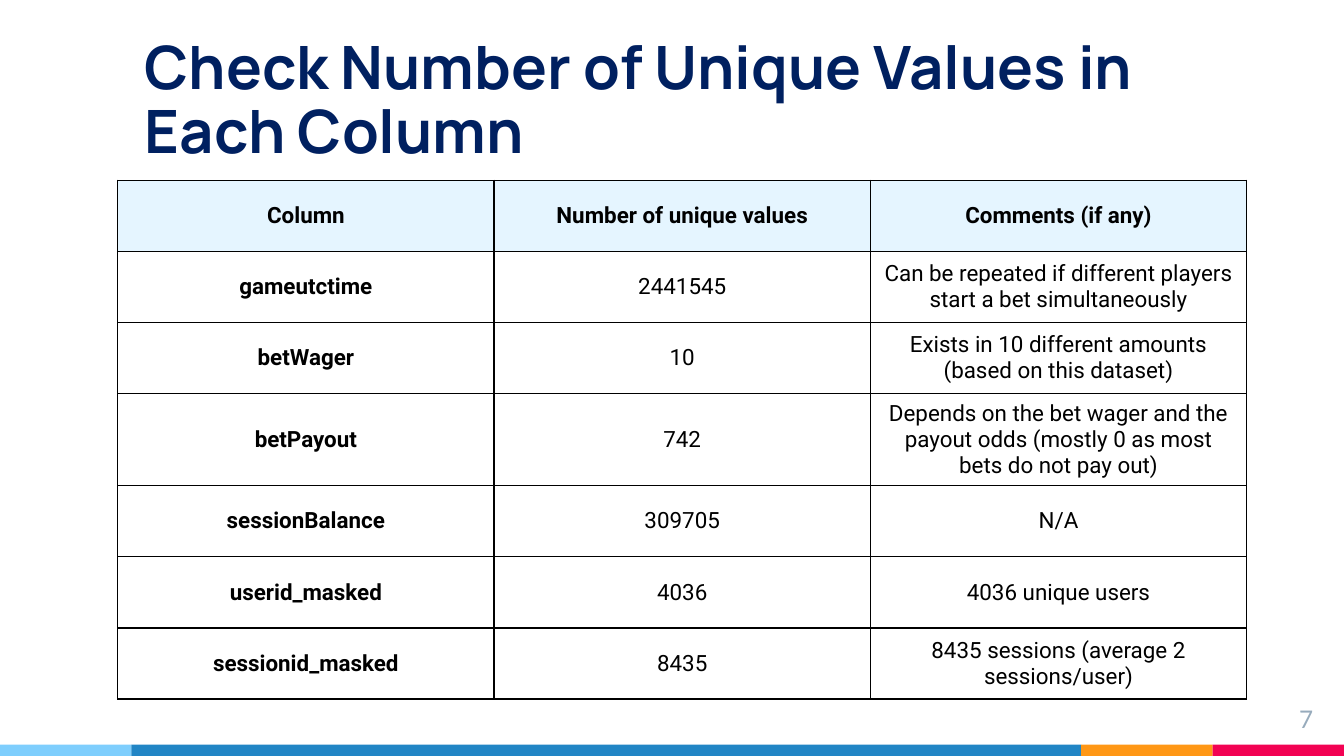
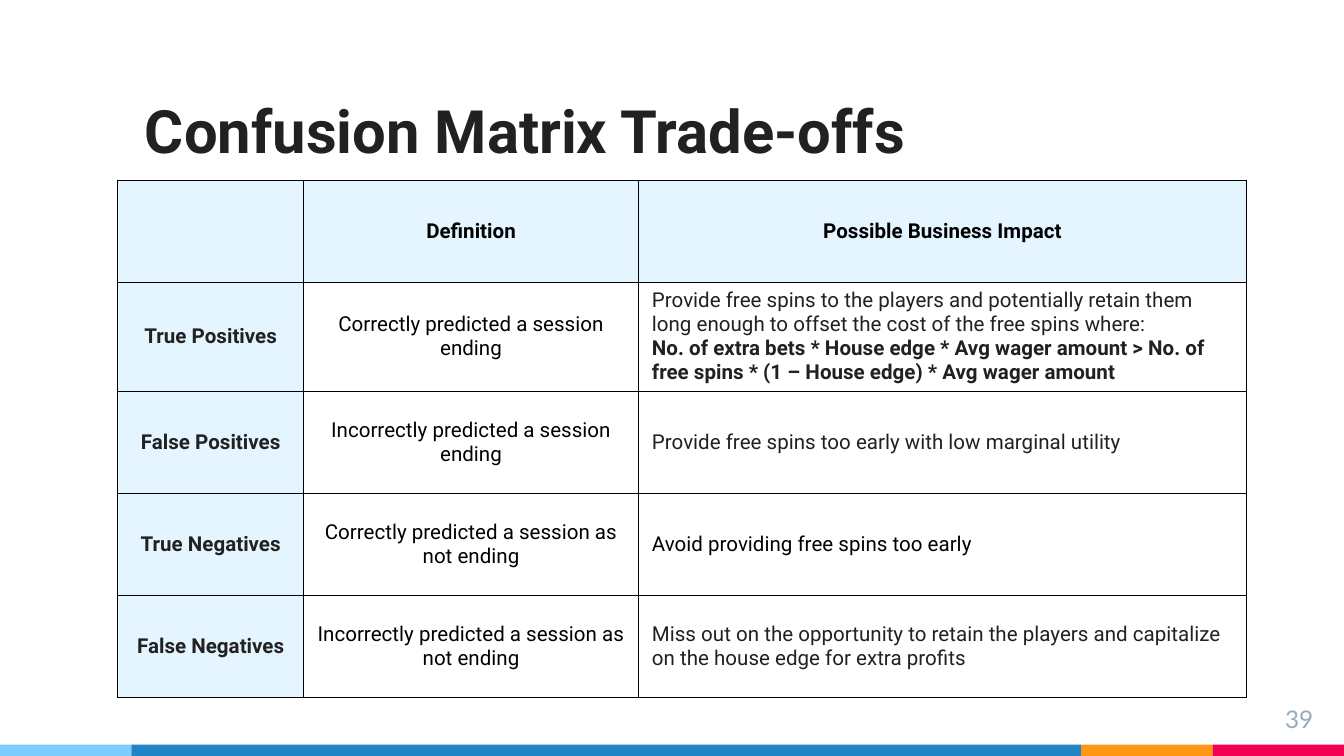
from dataclasses import dataclass
from typing import Optional

import lxml.etree
import pptx
import pptx.dml.color
import pptx.enum.shapes
import pptx.enum.text
import pptx.oxml.ns
import pptx.util

Pt = pptx.util.Pt
RGBColor = pptx.dml.color.RGBColor
Align = pptx.enum.text.PP_ALIGN
Anchor = pptx.enum.text.MSO_ANCHOR

BLACK = RGBColor(0x00, 0x00, 0x00)
CHARCOAL = RGBColor(0x21, 0x21, 0x21)
NAVY = RGBColor(0x00, 0x20, 0x60)
GREY = RGBColor(0x97, 0xAB, 0xBC)
PALE_BLUE = RGBColor(0xE5, 0xF5, 0xFF)
SKY = RGBColor(0x7E, 0xCE, 0xFD)
BLUE = RGBColor(0x21, 0x85, 0xC5)
ORANGE = RGBColor(0xFF, 0x97, 0x15)
RED = RGBColor(0xF2, 0x02, 0x53)

BODY_FONT = "Roboto"
TITLE_FONT = "Manrope"
NUMBER_FONT = "Lato"
INSET = Pt(7.2)
TABLE_LEFT = Pt(63.1)
TABLE_TOP = Pt(96.5)


@dataclass(frozen=True)
class Band:
    width: float
    color: RGBColor


@dataclass(frozen=True)
class Line:
    text: str
    bold: bool = False
    color: RGBColor = BLACK
    align: Align = Align.CENTER


@dataclass(frozen=True)
class Cell:
    lines: tuple[Line, ...] = ()
    fill: Optional[RGBColor] = None


@dataclass(frozen=True)
class TablePage:
    title: str
    title_font: str
    title_color: RGBColor
    number: int
    column_widths: tuple[float, ...]
    row_height: float
    text_size: float
    rows: list[list[Cell]]


BANDS = (Band(70.4, SKY), Band(508.8, BLUE), Band(70.4, ORANGE), Band(70.4, RED))


def header(text: str) -> Cell:
    return Cell((Line(text, bold=True),), PALE_BLUE)


def centred(text: str, bold: bool = False) -> Cell:
    return Cell((Line(text, bold),))


def outcome(text: str) -> Cell:
    return Cell((Line(text, True, CHARCOAL),), PALE_BLUE)


def impact(text: str, formula: str = "", color: RGBColor = CHARCOAL) -> Cell:
    lines = [Line(text, False, color, Align.LEFT)]
    if formula:
        lines.append(Line(formula, True, color, Align.LEFT))
    return Cell(tuple(lines))


UNIQUE_VALUES = [
    ("gameutctime", "2441545",
     "Can be repeated if different players start a bet simultaneously"),
    ("betWager", "10", "Exists in 10 different amounts (based on this dataset)"),
    ("betPayout", "742",
     "Depends on the bet wager and the payout odds (mostly 0 as most bets do not pay out)"),
    ("sessionBalance", "309705", "N/A"),
    ("userid_masked", "4036", "4036 unique users"),
    ("sessionid_masked", "8435", "8435 sessions (average 2 sessions/user)"),
]

TRADE_OFFS = [
    ("True Positives", "Correctly predicted a session ending",
     impact("Provide free spins to the players and potentially retain them long enough "
            "to offset the cost of the free spins where:",
            "No. of extra bets * House edge * Avg wager amount > "
            "No. of free spins * (1 – House edge) * Avg wager amount")),
    ("False Positives", "Incorrectly predicted a session ending",
     impact("Provide free spins too early with low marginal utility")),
    ("True Negatives", "Correctly predicted a session as not ending",
     impact("Avoid providing free spins too early", color=BLACK)),
    ("False Negatives", "Incorrectly predicted a session as not ending",
     impact("Miss out on the opportunity to retain the players and capitalize "
            "on the house edge for extra profits")),
]

PAGES = [
    TablePage(
        "Check Number of Unique Values in Each Column", TITLE_FONT, NAVY, 7,
        (201.6, 201.6, 201.6), 38.1, 12,
        [[header(text) for text in ("Column", "Number of unique values", "Comments (if any)")]]
        + [[centred(name, True), centred(count), centred(comment)]
           for name, count, comment in UNIQUE_VALUES],
    ),
    TablePage(
        "Confusion Matrix Trade-offs", BODY_FONT, CHARCOAL, 39,
        (99.6, 179.4, 325.8), 54.7, 11,
        [[Cell(fill=PALE_BLUE), header("Definition"), header("Possible Business Impact")]]
        + [[outcome(name), centred(definition), effect]
           for name, definition, effect in TRADE_OFFS],
    ),
]


def set_font(para, name: str, size: float, color: RGBColor, bold: bool = False) -> None:
    para.font.name = name
    para.font.size = Pt(size)
    para.font.bold = bold
    para.font.color.rgb = color


def prepare_frame(frame, anchor: Anchor) -> None:
    frame.word_wrap = True
    frame.auto_size = pptx.enum.text.MSO_AUTO_SIZE.NONE
    frame.vertical_anchor = anchor
    frame.margin_left = frame.margin_right = INSET
    frame.margin_top = frame.margin_bottom = INSET


def draw_bands(page) -> None:
    left = 0.0
    for band in BANDS:
        bar = page.shapes.add_shape(pptx.enum.shapes.MSO_SHAPE.RECTANGLE,
                                    Pt(left), Pt(399), Pt(band.width), Pt(6))
        bar.shadow.inherit = False
        bar.fill.solid()
        bar.fill.fore_color.rgb = band.color
        bar.line.fill.background()
        left += band.width


def draw_title(page, content: TablePage) -> None:
    title = page.shapes.title
    title.left, title.top = Pt(70.4), Pt(28.8)
    title.width, title.height = Pt(579.2), Pt(67.7)
    prepare_frame(title.text_frame, Anchor.BOTTOM)
    para = title.text_frame.paragraphs[0]
    para.text = content.title
    para.alignment = Align.LEFT
    para.line_spacing = 0.9
    set_font(para, content.title_font, 32, content.title_color, True)


def draw_number(page, number: int) -> None:
    box = page.shapes.add_textbox(Pt(667.4), Pt(370), Pt(43.2), Pt(24.5))
    prepare_frame(box.text_frame, Anchor.TOP)
    para = box.text_frame.paragraphs[0]
    para.text = str(number)
    para.alignment = Align.RIGHT
    set_font(para, NUMBER_FONT, 13, GREY)


def draw_borders(cell) -> None:
    properties = cell._tc.get_or_add_tcPr()
    for position, side in enumerate(("lnL", "lnR", "lnT", "lnB")):
        border = lxml.etree.Element(pptx.oxml.ns.qn(f"a:{side}"), w=str(Pt(0.75)))
        fill = lxml.etree.SubElement(border, pptx.oxml.ns.qn("a:solidFill"))
        lxml.etree.SubElement(fill, pptx.oxml.ns.qn("a:srgbClr"), val=str(BLACK))
        properties.insert(position, border)


def fill_cell(cell, content: Cell, size: float) -> None:
    cell.vertical_anchor = Anchor.MIDDLE
    if content.fill is None:
        cell.fill.background()
    else:
        cell.fill.solid()
        cell.fill.fore_color.rgb = content.fill
    draw_borders(cell)
    frame = cell.text_frame
    for index, line in enumerate(content.lines):
        para = frame.add_paragraph() if index else frame.paragraphs[0]
        para.text = line.text
        para.alignment = line.align
        set_font(para, BODY_FONT, size, line.color, line.bold)


def draw_table(page, content: TablePage) -> None:
    row_count = len(content.rows)
    table = page.shapes.add_table(
        row_count, len(content.column_widths), TABLE_LEFT, TABLE_TOP,
        Pt(sum(content.column_widths)), Pt(content.row_height * row_count)).table
    table.first_row = False
    table.horz_banding = False
    for column, width in zip(table.columns, content.column_widths):
        column.width = Pt(width)
    for row, cells in zip(table.rows, content.rows):
        row.height = Pt(content.row_height)
        for cell, cell_content in zip(row.cells, cells):
            fill_cell(cell, cell_content, content.text_size)


def main() -> None:
    deck = pptx.Presentation()
    deck.slide_width, deck.slide_height = Pt(720), Pt(405)
    title_only = deck.slide_layouts.get_by_name("Title Only")
    for content in PAGES:
        page = deck.slides.add_slide(title_only)
        draw_bands(page)
        draw_title(page, content)
        draw_number(page, content.number)
        draw_table(page, content)
    deck.save("out.pptx")


if __name__ == "__main__":
    main()
